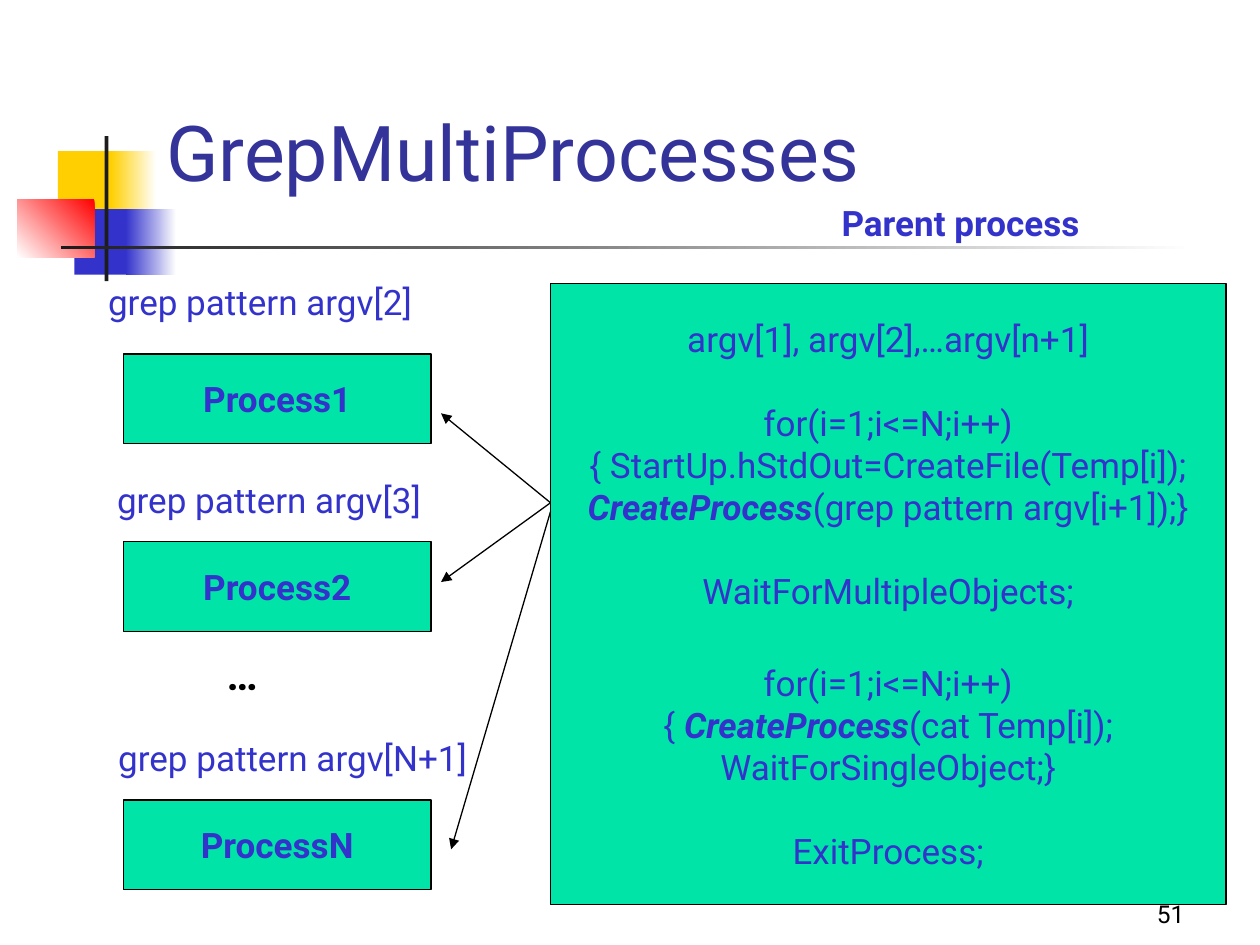
"""Build the GrepMultiProcesses slide: a parent process that starts N grep processes."""
from lxml import etree
from pptx import Presentation
from pptx.dml.color import RGBColor
from pptx.enum.dml import MSO_LINE
from pptx.enum.shapes import MSO_CONNECTOR, MSO_SHAPE
from pptx.enum.text import MSO_ANCHOR, MSO_AUTO_SIZE, PP_ALIGN
from pptx.oxml.ns import qn
from pptx.util import Pt

RECTANGLE, STRAIGHT, SOLID = MSO_SHAPE.RECTANGLE, MSO_CONNECTOR.STRAIGHT, MSO_LINE.SOLID
TOP, MIDDLE, BOTTOM = MSO_ANCHOR.TOP, MSO_ANCHOR.MIDDLE, MSO_ANCHOR.BOTTOM
LEFT, CENTER, RIGHT = PP_ALIGN.LEFT, PP_ALIGN.CENTER, PP_ALIGN.RIGHT
NO_AUTO_SIZE = MSO_AUTO_SIZE.NONE

FONT = "Roboto"
COLORS = {
    "title": "333399", "blue": "3333CC", "green": "00E4A8", "yellow": "FFCF01",
    "red": "FF0000", "dark": "1C1C1C", "black": "000000", "white": "FFFFFF",
}
BODY = {"size": Pt(20), "bold": False, "italic": False}
BOLD = {**BODY, "bold": True}
CALL = {**BOLD, "italic": True}
ELLIPSIS = {**BOLD, "size": Pt(24)}
TITLE = {**BODY, "size": Pt(44)}
NUMBER = {**BODY, "size": Pt(14)}

# (left, top, width, height), first colour, gradient angle or None
DECORATION = [
    ((33.1, 86.4, 34.6, 37.4), "yellow", None),
    ((63.4, 86.4, 25.9, 37.4), "yellow", 0),
    ((42.5, 119.5, 33.1, 37.4), "blue", None),
    ((72, 119.5, 28.8, 37.4), "blue", 0),
    ((10, 113.8, 44, 33.1), "red", 225),
    ((59.8, 77.8, 2.2, 82.8), "dark", None),
    ((34.6, 140.4, 648, 2.2), "dark", 0),
]
# name, box top, command, command left, command top, arrow start y, arrow end
PROCESSES = [
    ("Process1", 202.3, "grep pattern argv[2]", 54.7, 157, 287.3, (252, 236.2)),
    ("Process2", 309.6, "grep pattern argv[3]", 59.8, 270, 287.3, (252, 332.6)),
    ("ProcessN", 457.2, "grep pattern argv[N+1]", 60.5, 417.6, 292.3, (257.8, 485.3)),
]
# space before, runs
PARENT_CODE = [
    (0, [("argv[1], argv[2],…argv[n+1]", BODY)]),
    (24, [("for(i=1;i<=N;i++)", BODY)]),
    (0, [("{ StartUp.hStdOut=CreateFile(Temp[i]);", BODY)]),
    (0, [("CreateProcess", CALL), ("(grep pattern argv[i+1]);}", BODY)]),
    (24, [("WaitForMultipleObjects;", BODY)]),
    (28.6, [("for(i=1;i<=N;i++)", BODY)]),
    (0, [("{ ", BODY), ("CreateProcess", CALL), ("(cat Temp[i]);", BODY)]),
    (0, [("WaitForSingleObject;}", BODY)]),
    (24, [("ExitProcess;", BODY)]),
]
PARENT_BOX = (314.6, 162, 386, 355)
PROCESS_LEFT, PROCESS_WIDTH, PROCESS_HEIGHT = 70.6, 175.7, 51.1
COMMAND_WIDTH, LABEL_HEIGHT = 232.6, 31.7


def color(name):
    return RGBColor.from_string(COLORS[name])


def write(shape, lines, color_name="blue", align=LEFT, anchor=TOP):
    frame = shape.text_frame
    settings = {"word_wrap": True, "auto_size": NO_AUTO_SIZE, "vertical_anchor": anchor,
                "margin_left": Pt(7.2), "margin_right": Pt(7.2),
                "margin_top": Pt(3.6), "margin_bottom": Pt(3.6)}
    for key, value in settings.items():
        setattr(frame, key, value)
    for index, (space, runs) in enumerate(lines):
        paragraph = frame.add_paragraph() if index else frame.paragraphs[0]
        paragraph.alignment = align
        paragraph.space_before = Pt(space)
        for text, style in runs:
            run = paragraph.add_run()
            run.text = text
            for key, value in {"name": FONT, **style}.items():
                setattr(run.font, key, value)
            run.font.color.rgb = color(color_name)


def add_rectangle(slide, place, fill, angle=None, outlined=False):
    shape = slide.shapes.add_shape(RECTANGLE, *map(Pt, place))
    shape.shadow.inherit = False
    if angle is None:
        shape.fill.solid()
        shape.fill.fore_color.rgb = color(fill)
    else:
        shape.fill.gradient()
        shape.fill.gradient_angle = angle
        for stop, name in zip(shape.fill.gradient_stops, (fill, "white")):
            stop.color.rgb = color(name)
    if outlined:
        shape.line.color.rgb = color("black")
        shape.line.width = Pt(0.75)
    else:
        shape.line.fill.background()
    return shape


def add_box(slide, place, lines):
    write(add_rectangle(slide, place, "green", outlined=True), lines, align=CENTER, anchor=MIDDLE)


def add_label(slide, place, text, style, **options):
    write(slide.shapes.add_textbox(*map(Pt, place)), [(0, [(text, style)])], **options)


def add_arrow(slide, start, end):
    arrow = slide.shapes.add_connector(STRAIGHT, *map(Pt, start + end))
    arrow.line.color.rgb = color("black")
    arrow.line.width = Pt(0.75)
    arrow.line.dash_style = SOLID
    properties = arrow.line._get_or_add_ln()
    etree.SubElement(properties, qn("a:tailEnd"), type="triangle")
    etree.SubElement(arrow._element.spPr, qn("a:effectLst"))


def main():
    presentation = Presentation()
    presentation.slide_width, presentation.slide_height = Pt(720), Pt(540)
    slide = presentation.slides.add_slide(presentation.slide_layouts[5])

    for place, fill, angle in DECORATION:
        add_rectangle(slide, place, fill, angle)

    title = slide.shapes.title
    title.left, title.top, title.width, title.height = map(Pt, (87.8, 25.9, 613.4, 90))
    write(title, [(0, [("GrepMultiProcesses", TITLE)])], "title", anchor=BOTTOM)

    add_box(slide, PARENT_BOX, PARENT_CODE)
    add_label(slide, (473.8, 111.6, 163.4, LABEL_HEIGHT), "Parent process", BOLD)
    for name, top, command, command_left, command_top, start_y, end in PROCESSES:
        add_box(slide, (PROCESS_LEFT, top, PROCESS_WIDTH, PROCESS_HEIGHT), [(0, [(name, BOLD)])])
        add_label(slide, (command_left, command_top, COMMAND_WIDTH, LABEL_HEIGHT), command, BODY)
        add_arrow(slide, (PARENT_BOX[0], start_y), end)
    add_label(slide, (122.4, 367.2, 34.6, 36), "…", ELLIPSIS, color_name="black")
    add_label(slide, (534.2, 498.2, 149.8, 36), "51", NUMBER,
              color_name="black", align=RIGHT, anchor=BOTTOM)

    presentation.save("out.pptx")


if __name__ == "__main__":
    main()
